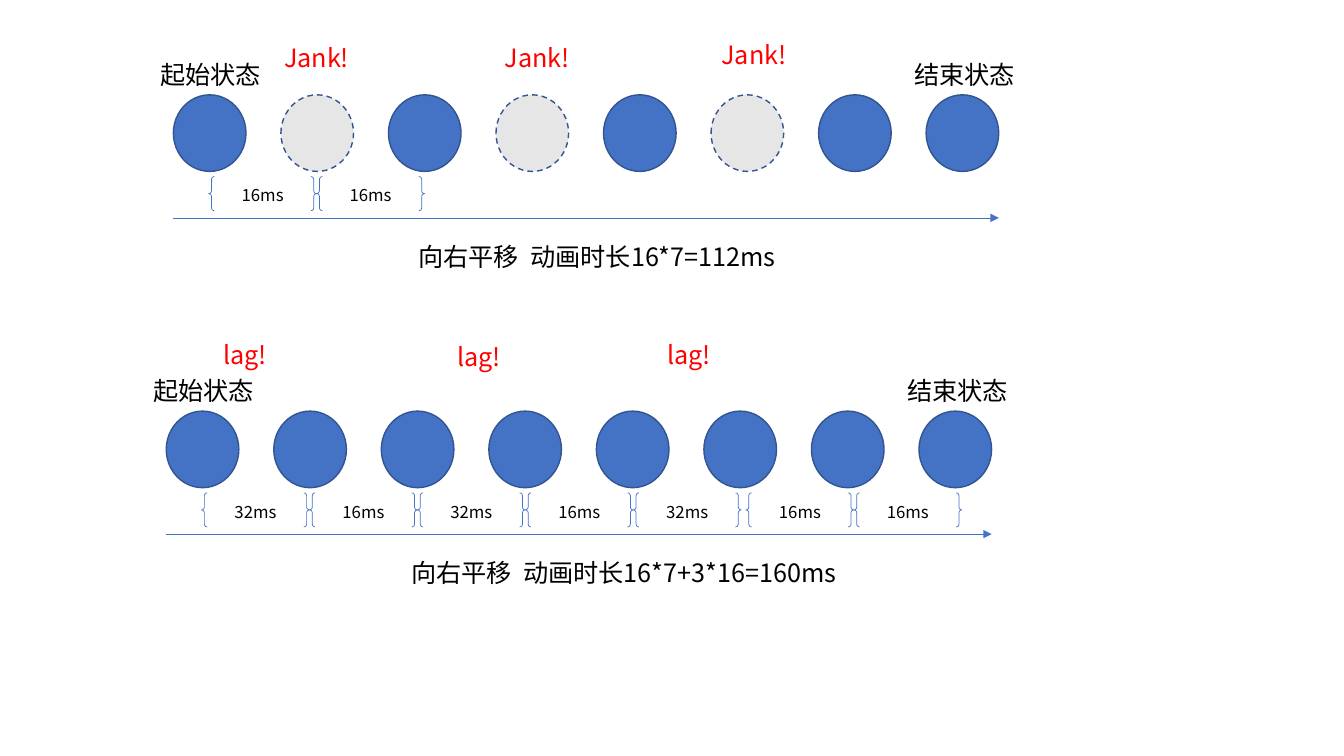
from lxml.etree import SubElement
from pptx import Presentation
from pptx.dml.color import RGBColor
from pptx.enum.dml import MSO_LINE as Dash
from pptx.enum.shapes import MSO_CONNECTOR as Wire, MSO_SHAPE as Kind
from pptx.enum.text import MSO_ANCHOR as Anchor, PP_ALIGN as Align
from pptx.oxml.ns import qn
from pptx.util import Cm, Pt

FONT = "Noto Sans CJK SC"
HUES = {"blue": "4472C4", "edge": "325491", "gray": "E7E6E6",
        "red": "FF0000", "black": "000000"}
COUNT = 8
SPAN, BALL, TALL = 20.8, 1.83, 1.93
STEP = (SPAN - BALL) / (COUNT - 1)


def hue(name):
    return RGBColor.from_string(HUES[name])


def write(frame, text, size, color="black", align=Align.LEFT):
    frame.word_wrap = True
    para = frame.paragraphs[0]
    para.text = text
    para.alignment = align
    font = para.font
    font.size = Pt(size)
    font.color.rgb = hue(color)
    font.name = FONT
    SubElement(font._element, qn("a:ea"), typeface=FONT)


def label(slide, x, y, wide, text, color="black"):
    box = slide.shapes.add_textbox(Cm(x), Cm(y), Cm(wide), Cm(1.03))
    write(box.text_frame, text, 18, color)


def ball(slide, x, y, lost):
    disc = slide.shapes.add_shape(Kind.OVAL, Cm(x), Cm(y), Cm(BALL), Cm(TALL))
    disc.shadow.inherit = False
    disc.fill.solid()
    disc.fill.fore_color.rgb = hue("gray" if lost else "blue")
    disc.line.color.rgb = hue("edge")
    disc.line.width = Pt(1)
    if lost:
        disc.line.dash_style = Dash.DASH


def brace(slide, x, y, text):
    pair = slide.shapes.add_shape(
        Kind.DOUBLE_BRACE, Cm(x), Cm(y), Cm(2.72), Cm(0.86))
    pair.shadow.inherit = False
    pair.fill.background()
    pair.line.color.rgb = hue("blue")
    pair.line.width = Pt(0.5)
    pair.text_frame.vertical_anchor = Anchor.MIDDLE
    write(pair.text_frame, text, 12, align=Align.CENTER)


def arrow(slide, x, y):
    wire = slide.shapes.add_connector(
        Wire.STRAIGHT, Cm(x), Cm(y), Cm(x + SPAN), Cm(y))
    wire.line.color.rgb = hue("blue")
    wire.line.width = Pt(0.5)
    SubElement(wire.line._get_or_add_ln(), qn("a:tailEnd"), type="triangle")
    SubElement(wire._element.spPr, qn("a:effectLst"))


def track(slide, left, top, lost, times, alert, spots, caption):
    for n in range(COUNT):
        ball(slide, left + n * STEP, top, n in lost)
    for x, text in ((-0.58, "起始状态"), (18.42, "结束状态")):
        label(slide, left + x, top - 1.03, 3.3, text)
    for n, time in enumerate(times):
        shift = 0.12 if n > 4 else 0
        brace(slide, left + 0.89 + n * 2.72 + shift, top + 2.06, time)
    for x, y in spots:
        label(slide, left + x, top + y, 2.46, alert, "red")
    arrow(slide, left, top + 3.1)
    label(slide, left + 5.92, top + 3.57, 11.25, caption)


def main():
    deck = Presentation()
    deck.slide_width, deck.slide_height = Cm(33.87), Cm(19.05)
    slide = deck.slides.add_slide(deck.slide_layouts[6])
    track(slide, 4.37, 2.39, (1, 3, 5), ("16ms", "16ms"), "Jank!",
          ((2.54, -1.45), (8.1, -1.45), (13.56, -1.52)),
          "向右平移  动画时长16*7=112ms")
    track(slide, 4.19, 10.36, (),
          ("32ms", "16ms", "32ms", "16ms", "32ms", "16ms", "16ms"), "lag!",
          ((1.19, -1.93), (7.09, -1.88), (12.37, -1.93)),
          "向右平移  动画时长16*7+3*16=160ms")
    deck.save("out.pptx")


if __name__ == "__main__":
    main()
